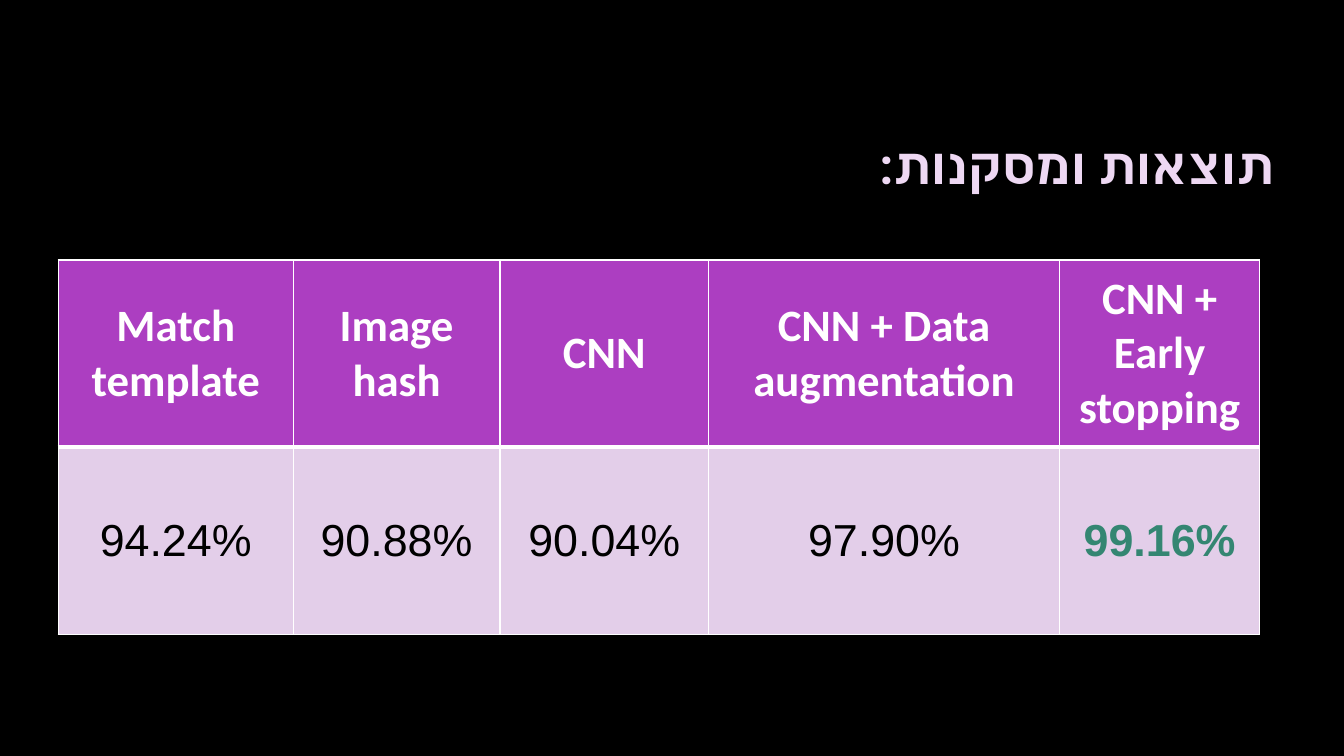
from lxml.etree import SubElement
from pptx import Presentation
from pptx.dml.color import RGBColor
from pptx.enum.text import MSO_ANCHOR, PP_ALIGN
from pptx.oxml.ns import qn
from pptx.util import Cm, Pt

TITLE = "תוצאות ומסקנות:"
RESULTS = [
    ("Match template", "94.24%"),
    ("Image hash", "90.88%"),
    ("CNN", "90.04%"),
    ("CNN + Data augmentation", "97.90%"),
    ("CNN + Early stopping", "99.16%"),
]
COLUMN_WIDTHS = [5.92, 5.21, 5.26, 8.84, 5.05]
ROW_HEIGHT = 4.72
BEST = "99.16%"

BLACK = RGBColor(0x00, 0x00, 0x00)
WHITE = RGBColor(0xFF, 0xFF, 0xFF)
PURPLE = RGBColor(0xAC, 0x3E, 0xC1)
LILAC = RGBColor(0xE3, 0xCE, 0xE9)
PALE_PINK = RGBColor(0xEE, 0xD8, 0xF3)
GREEN = RGBColor(0x34, 0x86, 0x72)


def write_rtl(frame, text, align, size, color, bold, latin, complex_font):
    para = frame.paragraphs[0]
    para.alignment = align
    para._p.get_or_add_pPr().set("rtl", "1")
    span = para.add_run()
    span.text = text
    span.font.size = Pt(size)
    span.font.bold = bold
    span.font.color.rgb = color
    span.font.name = latin
    SubElement(span.font._element, qn("a:cs")).set("typeface", complex_font)


def set_borders(cell, widths):
    props = cell._tc.get_or_add_tcPr()
    for side, width in widths.items():
        line = SubElement(props, qn(f"a:ln{side}"), w=str(Pt(width)))
        fill = SubElement(line, qn("a:solidFill"))
        SubElement(fill, qn("a:srgbClr"), val=str(WHITE))


def add_title(page):
    title = page.shapes.title
    title.left, title.top = Cm(4.24), Cm(2.11)
    title.width, title.height = Cm(28.14), Cm(4.04)
    frame = title.text_frame
    frame.word_wrap = True
    frame.vertical_anchor = MSO_ANCHOR.MIDDLE
    write_rtl(frame, TITLE, PP_ALIGN.RIGHT, 36, PALE_PINK, True, "Roboto", "Roboto")


def add_results(page):
    rows = list(zip(*RESULTS))
    table = page.shapes.add_table(
        len(rows), len(RESULTS), Cm(1.47), Cm(6.55),
        Cm(sum(COLUMN_WIDTHS)), Cm(ROW_HEIGHT * len(rows)),
    ).table
    for column, width in zip(table.columns, COLUMN_WIDTHS):
        column.width = Cm(width)
    for r, texts in enumerate(rows):
        table.rows[r].height = Cm(ROW_HEIGHT)
        header = r == 0
        for c, text in enumerate(texts):
            cell = table.cell(r, c)
            cell.vertical_anchor = MSO_ANCHOR.MIDDLE
            color = WHITE if header else GREEN if text == BEST else BLACK
            write_rtl(cell.text_frame, text, PP_ALIGN.CENTER, 32, color,
                      header or text == BEST, "Calibri", "Arial")
            set_borders(cell, {"L": 1, "R": 1, "T": 1 if header else 3,
                               "B": 3 if header else 1})
            cell.fill.solid()
            cell.fill.fore_color.rgb = PURPLE if header else LILAC


def main():
    deck = Presentation()
    deck.slide_width, deck.slide_height = Cm(33.87), Cm(19.05)
    page = deck.slides.add_slide(deck.slide_layouts[5])
    page.background.fill.solid()
    page.background.fill.fore_color.rgb = BLACK
    add_results(page)
    add_title(page)
    deck.save("out.pptx")


if __name__ == "__main__":
    main()
